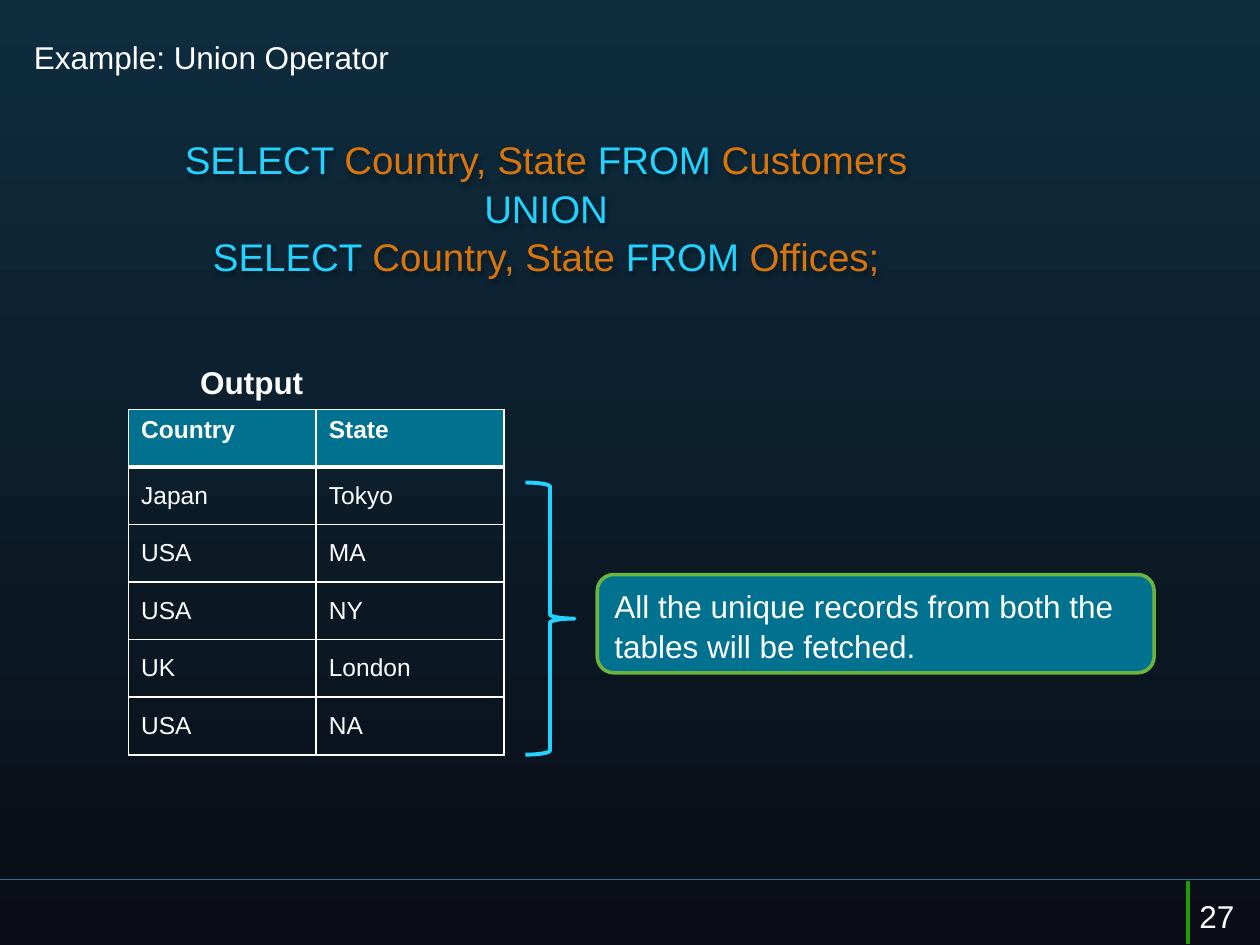
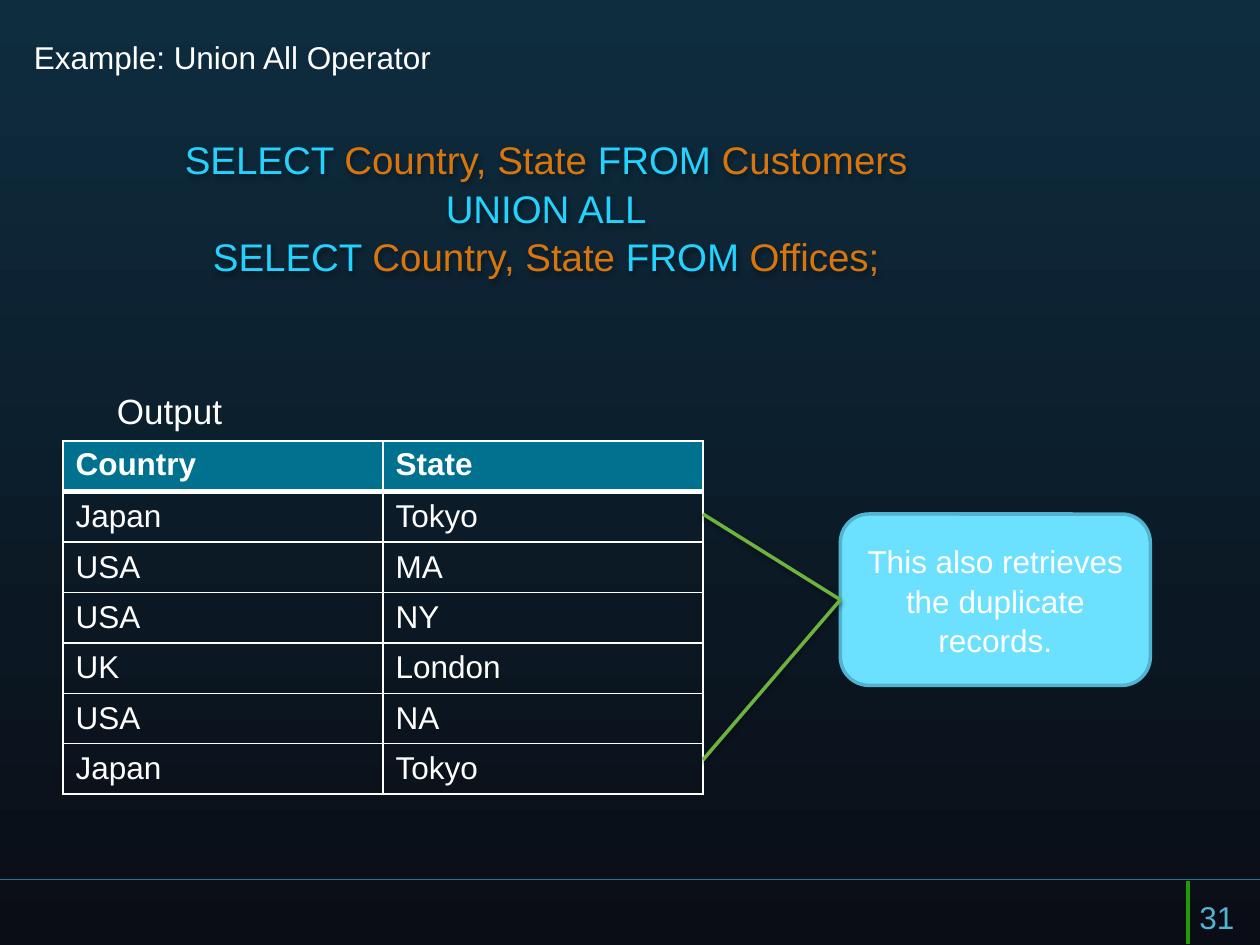
"""Build two slides that compare the SQL operators UNION and UNION ALL."""
import lxml.etree
import pptx
import pptx.dml.color
import pptx.enum.shapes
import pptx.enum.text
import pptx.oxml.ns
import pptx.util

Inches = pptx.util.Inches
Pt = pptx.util.Pt
qn = pptx.oxml.ns.qn
SubElement = lxml.etree.SubElement
SHAPES = pptx.enum.shapes.MSO_SHAPE
CENTER = pptx.enum.text.PP_ALIGN.CENTER
LEFT = pptx.enum.text.PP_ALIGN.LEFT
MIDDLE = pptx.enum.text.MSO_ANCHOR.MIDDLE
TOP = pptx.enum.text.MSO_ANCHOR.TOP

WHITE, TEAL, CYAN, ORANGE = "FFFFFF", "00728F", "23D2FF", "D8750D"
GREEN, BLUE, SKY = "6DB33F", "50B3CF", "6CE1FF"
RECORDS = [("Country", "State"), ("Japan", "Tokyo"), ("USA", "MA"),
           ("USA", "NY"), ("UK", "London"), ("USA", "NA")]


def colour(target, value):
    """Give a fill or line fill one solid colour."""
    target.solid()
    target.fore_color.rgb = pptx.dml.color.RGBColor.from_string(value)


def write(frame, paragraphs, size, bold=False, alignment=LEFT, spacing=1.0):
    """Write paragraphs, each a list of (text, colour) runs."""
    frame.word_wrap = True
    for index, runs in enumerate(paragraphs):
        paragraph = frame.add_paragraph() if index else frame.paragraphs[0]
        paragraph.alignment = alignment
        paragraph.line_spacing = spacing
        for text, value in runs:
            run = paragraph.add_run()
            run.text = text
            run.font.name = "Arial"
            run.font.size = Pt(size)
            run.font.bold = bold
            colour(run.font.fill, value)


presentation = pptx.Presentation()
presentation.slide_width = Inches(10)
presentation.slide_height = Inches(7.5)

background = presentation.slide_master.background.fill
background.gradient()
background.gradient_angle = 270
for stop, position, value in zip(background.gradient_stops, (0, 1), ("0E2D3F", "0A0D16")):
    stop.position = position
    stop.color.rgb = pptx.dml.color.RGBColor.from_string(value)

footer_lines = [((10, 6.98), (0, 6.98), "287094", 0.75, False),
                ((9.43, 6.99), (9.43, 7.49), "209D03", 2, False)]

pages = [
    dict(operator="UNION", title="Example: Union Operator",
         number="27", number_box=(9.42, 7.07, 0.58, 0.4), number_colour=WHITE,
         records=RECORDS, table=(1.02, 3.25, 2.98), row=0.457, size=14,
         label=(1.49, 2.83, 2.05, 0.4), label_size=18, label_bold=True,
         note="All the unique records from both the tables will be fetched.",
         note_box=(4.74, 4.56, 4.42, 0.78), note_fill=TEAL, note_line=GREEN,
         note_alignment=LEFT, note_anchor=TOP,
         brace=(4.17, 3.83, 0.39, 2.16), links=[]),
    dict(operator="UNION ALL", title="Example: Union All Operator",
         number="31", number_box=(9.42, 7.08, 0.58, 0.4), number_colour=BLUE,
         records=RECORDS + [RECORDS[1]], table=(0.5, 3.5, 5.08), row=0.38, size=18,
         label=(0.83, 3.04, 1.75, 0.44), label_size=20, label_bold=False,
         note="This also retrieves the duplicate records.",
         note_box=(6.67, 4.08, 2.46, 1.36), note_fill=SKY, note_line=BLUE,
         note_alignment=CENTER, note_anchor=MIDDLE, brace=None,
         links=[((6.67, 4.76), (5.58, y), GREEN, 2, True) for y in (4.08, 6.03)]),
]

for page in pages:
    slide = presentation.slides.add_slide(presentation.slide_layouts[6])

    labels = [
        ((0.17, 0.25, 9.83, 0.33), page["title"], 18, WHITE, False),
        (page["number_box"], page["number"], 18, page["number_colour"], False),
        (page["label"], "Output", page["label_size"], WHITE, page["label_bold"]),
    ]
    for box, text, size, value, bold in labels:
        label = slide.shapes.add_textbox(*map(Inches, box))
        write(label.text_frame, [[(text, value)]], size, bold)

    query = slide.shapes.add_shape(
        SHAPES.ROUNDED_RECTANGLE, *map(Inches, (1.25, 0.95, 6.17, 1.34)))
    query.fill.background()
    query.line.fill.background()
    query.text_frame.vertical_anchor = TOP
    first, last = [
        [("SELECT ", CYAN), ("Country, State ", ORANGE), ("FROM ", CYAN), (source, ORANGE)]
        for source in ("Customers", "Offices;")]
    write(query.text_frame, [first, [(page["operator"], CYAN)], last], 22,
          alignment=CENTER, spacing=1.05)

    records = page["records"]
    left, top, width = page["table"]
    frame = slide.shapes.add_table(
        len(records), 2, Inches(left), Inches(top), Inches(width),
        Inches(page["row"] * len(records)))
    table = frame.table
    table.horz_banding = False
    for row_index, record in enumerate(records):
        header = row_index == 0
        table.rows[row_index].height = Inches(page["row"])
        for column_index, text in enumerate(record):
            cell = table.cell(row_index, column_index)
            cell.vertical_anchor = TOP if header else MIDDLE
            write(cell.text_frame, [[(text, WHITE)]], page["size"], header)
            properties = cell._tc.get_or_add_tcPr()
            for side in ("lnL", "lnR", "lnT", "lnB"):
                thick = (header and side == "lnB") or (row_index == 1 and side == "lnT")
                border = SubElement(properties, qn("a:" + side), w=str(Pt(3 if thick else 1)))
                paint = SubElement(border, qn("a:solidFill"))
                SubElement(paint, qn("a:srgbClr"), val=WHITE)
            if header:
                colour(cell.fill, TEAL)
            else:
                cell.fill.background()

    note = slide.shapes.add_shape(SHAPES.ROUNDED_RECTANGLE, *map(Inches, page["note_box"]))
    note.shadow.inherit = False
    colour(note.fill, page["note_fill"])
    colour(note.line.fill, page["note_line"])
    note.line.width = Pt(2)
    note.text_frame.vertical_anchor = page["note_anchor"]
    write(note.text_frame, [[(page["note"], WHITE)]], 18,
          alignment=page["note_alignment"], spacing=1.05)

    if page["brace"]:
        brace = slide.shapes.add_shape(SHAPES.RIGHT_BRACE, *map(Inches, page["brace"]))
        brace.shadow.inherit = False
        brace.fill.background()
        colour(brace.line.fill, CYAN)
        brace.line.width = Pt(2.25)

    effects = [(query, True)]
    for start, end, value, weight, shadowed in footer_lines + page["links"]:
        line = slide.shapes.add_connector(
            pptx.enum.shapes.MSO_CONNECTOR.STRAIGHT, *map(Inches, start + end))
        colour(line.line.fill, value)
        line.line.width = Pt(weight)
        effects.append((line, shadowed))

    for shape, shadowed in effects:
        effect_list = SubElement(shape._element.spPr, qn("a:effectLst"))
        if shadowed:
            shadow = SubElement(
                effect_list, qn("a:outerShdw"), blurRad=str(Pt(3.1)), dist=str(Pt(1.6)),
                dir="5400000", rotWithShape="0")
            tint = SubElement(shadow, qn("a:srgbClr"), val="000000")
            SubElement(tint, qn("a:alpha"), val="38000")

presentation.save("out.pptx")
